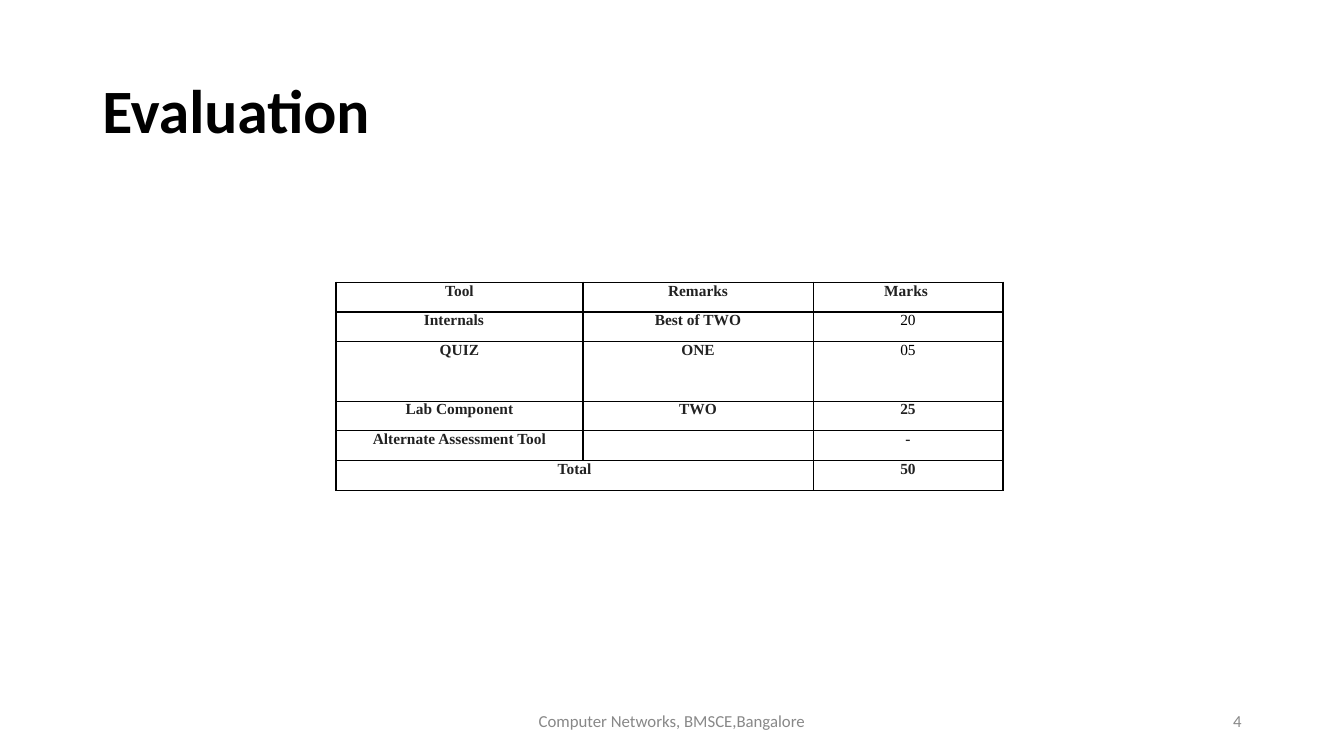
"""Build the course evaluation slide with its marks table."""
import pptx
import pptx.dml.color
import pptx.enum.text
import pptx.oxml
import pptx.oxml.ns
import pptx.util

BLACK = pptx.dml.color.RGBColor(0x00, 0x00, 0x00)
CHARCOAL = pptx.dml.color.RGBColor(0x22, 0x22, 0x22)
GREY = pptx.dml.color.RGBColor(0x88, 0x88, 0x88)
ALIGN = pptx.enum.text.PP_ALIGN

GRID_COLUMNS, GRID_ROWS = 160, 90
UNIT = pptx.util.Inches(1 / 12)

COLUMN_WIDTHS = (29.4, 27.4, 22.6)
ROW_HEIGHT = 3.54
MARKS = (
    ("Tool", "Remarks", "Marks "),
    ("Internals", "Best of TWO", "20"),
    ("QUIZ", "ONE", "05"),
    ("Lab Component", "TWO", "25"),
    ("Alternate Assessment Tool", "", "-"),
    ("Total", "", "50"),
)
QUIZ_ROW = 2
PLAIN_MARKS = ("20", "05")


def grid(count):
    """Turn a number of grid units into a length."""
    return round(count * UNIT)


def style(paragraph, font_name, size, color, bold, alignment):
    """Set the font and alignment of a paragraph."""
    paragraph.alignment = alignment
    font = paragraph.font
    font.name = font_name
    font.size = pptx.util.Pt(size)
    font.bold = bold
    font.color.rgb = color


def add_text(page, area, text, size, color, alignment, bold=False):
    """Add a vertically centred line of text and return its paragraph."""
    box = page.shapes.add_textbox(*map(grid, area))
    frame = box.text_frame
    frame.word_wrap = True
    frame.vertical_anchor = pptx.enum.text.MSO_ANCHOR.MIDDLE
    paragraph = frame.paragraphs[0]
    paragraph.text = text
    style(paragraph, "Calibri", size, color, bold, alignment)
    return paragraph


def add_borders(cell):
    """Draw a thin black line on every side of a cell."""
    properties = cell._tc.get_or_add_tcPr()
    for side in ("lnL", "lnR", "lnT", "lnB"):
        properties.append(pptx.oxml.parse_xml(
            f'<a:{side} {pptx.oxml.ns.nsdecls("a")} w="{pptx.util.Pt(1)}">'
            f'<a:solidFill><a:srgbClr val="{BLACK}"/></a:solidFill></a:{side}>'))


def fill_cell(cell, text):
    """Write one centred table entry inside its borders."""
    add_borders(cell)
    cell.fill.background()
    cell.margin_left = cell.margin_right = pptx.util.Inches(0.07)
    cell.margin_top = cell.margin_bottom = 0
    paragraph = cell.text_frame.paragraphs[0]
    paragraph.text = text
    plain = text in PLAIN_MARKS
    style(paragraph, "Times New Roman", 11, BLACK if plain else CHARCOAL,
          not plain, ALIGN.CENTER)


def add_marks_table(page, left, top):
    """Add the table of assessment tools and their marks."""
    heights = [ROW_HEIGHT] * len(MARKS)
    heights[QUIZ_ROW] *= 2
    table = page.shapes.add_table(
        len(MARKS), len(COLUMN_WIDTHS), grid(left), grid(top),
        grid(sum(COLUMN_WIDTHS)), grid(sum(heights))).table
    table.first_row = table.horz_banding = False
    for column, width in zip(table.columns, COLUMN_WIDTHS):
        column.width = grid(width)
    for row, height, entries in zip(table.rows, heights, MARKS):
        row.height = grid(height)
        for cell, text in zip(row.cells, entries):
            fill_cell(cell, text)
    table.cell(1, 0).margin_right = pptx.util.Inches(0.18)
    last = len(MARKS) - 1
    table.cell(last, 0).merge(table.cell(last, 1))


def main():
    """Assemble and save the slide."""
    deck = pptx.Presentation()
    deck.slide_width = grid(GRID_COLUMNS)
    deck.slide_height = grid(GRID_ROWS)
    page = deck.slides.add_slide(deck.slide_layouts[6])
    title = add_text(page, (11, 4.8, 138, 17.4), "Evaluation", 44, BLACK,
                     ALIGN.LEFT, bold=True)
    title.line_spacing = 0.9
    add_marks_table(page, 40, 33.6)
    add_text(page, (53, 83.4, 54, 4.8), "Computer Networks, BMSCE,Bangalore",
             12, GREY, ALIGN.CENTER)
    add_text(page, (113, 83.4, 36, 4.8), "4", 12, GREY, ALIGN.RIGHT)
    deck.save("out.pptx")


if __name__ == "__main__":
    main()
